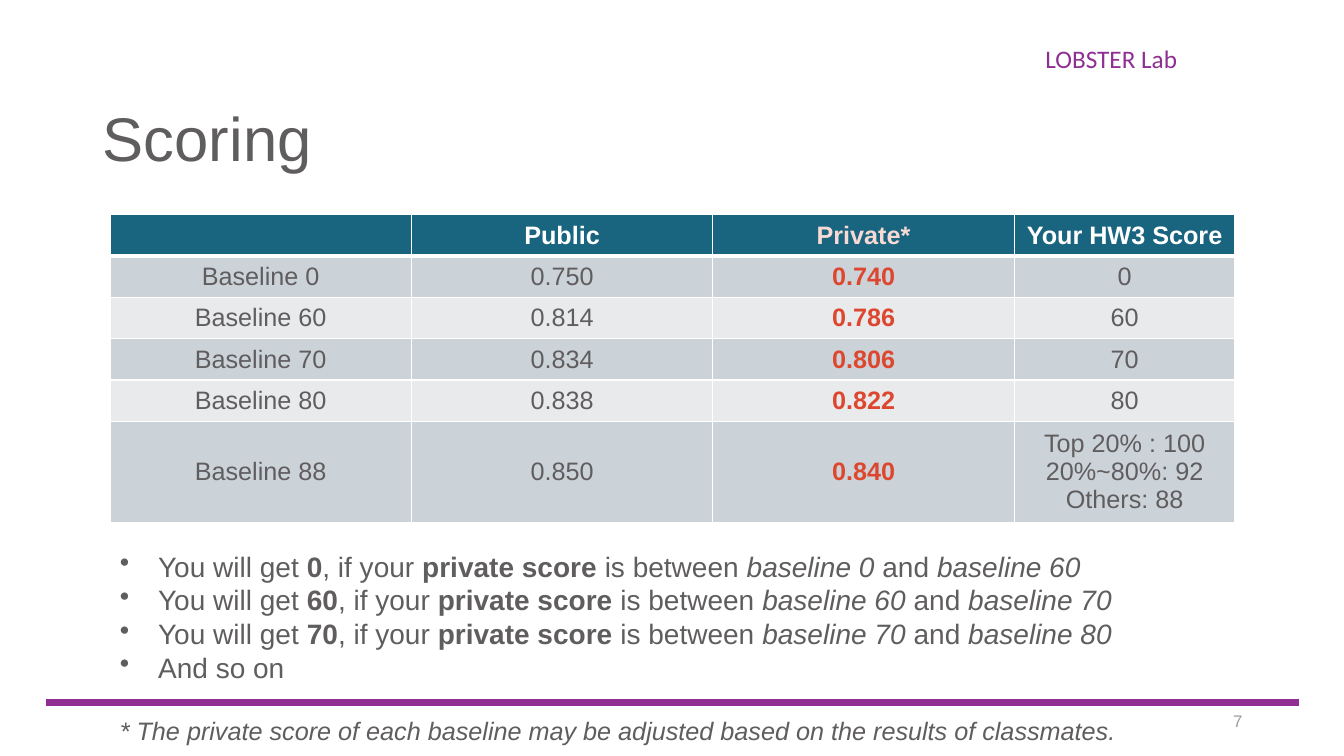
from lxml.etree import SubElement
from pptx import Presentation
from pptx.dml.color import RGBColor
from pptx.enum.shapes import MSO_CONNECTOR
from pptx.enum.text import MSO_ANCHOR, PP_ALIGN
from pptx.oxml import parse_xml
from pptx.oxml.ns import nsdecls, qn
from pptx.util import Inches, Pt

GRAY, PURPLE, RED, WHITE = "605D5F", "8F2E93", "DD472F", "FFFFFF"


def style(font, size, color, name="Arial"):
    font.size = Pt(size)
    font.name = name
    font.color.rgb = RGBColor.from_string(color)


def add_text(x, y, w, h, wrap=True):
    tf = s.shapes.add_textbox(Inches(x), Inches(y), Inches(w), Inches(h)).text_frame
    tf.word_wrap = wrap
    return tf


prs = Presentation()
prs.slide_width, prs.slide_height = Inches(13.33), Inches(7.5)
s = prs.slides.add_slide(prs.slide_layouts[5])

rule = s.shapes.add_connector(MSO_CONNECTOR.STRAIGHT, Inches(0.46), Inches(6.97), Inches(12.88), Inches(6.97))
rule.line.color.rgb = RGBColor.from_string(PURPLE)
rule.line.width = Pt(4.5)
SubElement(rule._element.spPr, qn("a:effectLst"))

p = add_text(10.27, 0.38, 2.8, 0.4).paragraphs[0]
p.text = "LOBSTER Lab"
style(p.font, 18, PURPLE, "Calibri")

title = s.shapes.title
title.left, title.top, title.width, title.height = Inches(0.92), Inches(0.68), Inches(11.5), Inches(1.45)
title.text_frame.vertical_anchor = MSO_ANCHOR.MIDDLE
p = title.text_frame.paragraphs[0]
p.text = "Scoring"
p.alignment = PP_ALIGN.LEFT
p.line_spacing = 0.9
style(p.font, 44, GRAY)

rows = [
    ("", "Public", "Private*", "Your HW3 Score"),
    ("Baseline 0", "0.750", "0.740", "0"),
    ("Baseline 60", "0.814", "0.786", "60"),
    ("Baseline 70", "0.834", "0.806", "70"),
    ("Baseline 80", "0.838", "0.822", "80"),
    ("Baseline 88", "0.850", "0.840", "Top 20% : 100\n20%~80%: 92\nOthers: 88"),
]
table = s.shapes.add_table(6, 4, Inches(1.09), Inches(2.13), Inches(11.16), Inches(3)).table
for col, width in zip(table.columns, (2.99, 2.99, 2.99, 2.19)):
    col.width = Inches(width)
for i, row in enumerate(rows):
    table.rows[i].height = Inches(0.95 if i == 5 else 0.41)
    for j, text in enumerate(row):
        cell = table.cell(i, j)
        cell.text = text
        cell.vertical_anchor = MSO_ANCHOR.MIDDLE
        cell.fill.solid()
        fill = "19647E" if i == 0 else "CCD3D8" if i % 2 else "E8EAEC"
        cell.fill.fore_color.rgb = RGBColor.from_string(fill)
        if i == 0:
            color = "F8DAD5" if j == 2 else WHITE
        else:
            color = RED if j == 2 else GRAY
        for p in cell.text_frame.paragraphs:
            p.alignment = PP_ALIGN.CENTER
            p.font.bold = i == 0 or j == 2
            style(p.font, 18, color)
        for k, side in enumerate("LRTB"):
            heavy = (i, side) in ((0, "B"), (1, "T"))
            border = parse_xml(
                f'<a:ln{side} {nsdecls("a")} w="{Pt(3 if heavy else 1)}"><a:solidFill>'
                f'<a:srgbClr val="{WHITE}"/></a:solidFill></a:ln{side}>')
            cell._tc.get_or_add_tcPr().insert(k, border)

tf = add_text(9.42, 6.95, 3, 0.4)
tf.vertical_anchor = MSO_ANCHOR.MIDDLE
p = tf.paragraphs[0]
p.text = "7"
p.alignment = PP_ALIGN.RIGHT
style(p.font, 12, "9D9C9D")

bullets = [
    [("You will get ", ""), (low, "b"), (", if your ", ""), ("private score ", "b"), ("is between ", ""),
     (f"baseline {low}", "i"), (" and ", ""), (f"baseline {high}", "i")]
    for low, high in (("0", "60"), ("60", "70"), ("70", "80"))
]
bullets.append([("And so on", "")])
tf = add_text(1.09, 5.4, 10.93, 1.45)
for i, runs in enumerate(bullets):
    p = tf.add_paragraph() if i else tf.paragraphs[0]
    style(p.font, 20, GRAY)
    pPr = p._p.get_or_add_pPr()
    pPr.set("marL", str(Inches(0.38)))
    pPr.set("indent", str(Inches(-0.38)))
    pPr.insert(0, parse_xml(f'<a:buChar {nsdecls("a")} char="•"/>'))
    for text, look in runs:
        r = p.add_run()
        r.text = text
        if look == "b":
            r.font.bold = True
        elif look == "i":
            r.font.italic = True

p = add_text(1.09, 7.05, 10.17, 0.4, wrap=False).paragraphs[0]
p.text = "* The private score of each baseline may be adjusted based on the results of classmates."
p.font.italic = True
style(p.font, 18, GRAY)

prs.save("out.pptx")
